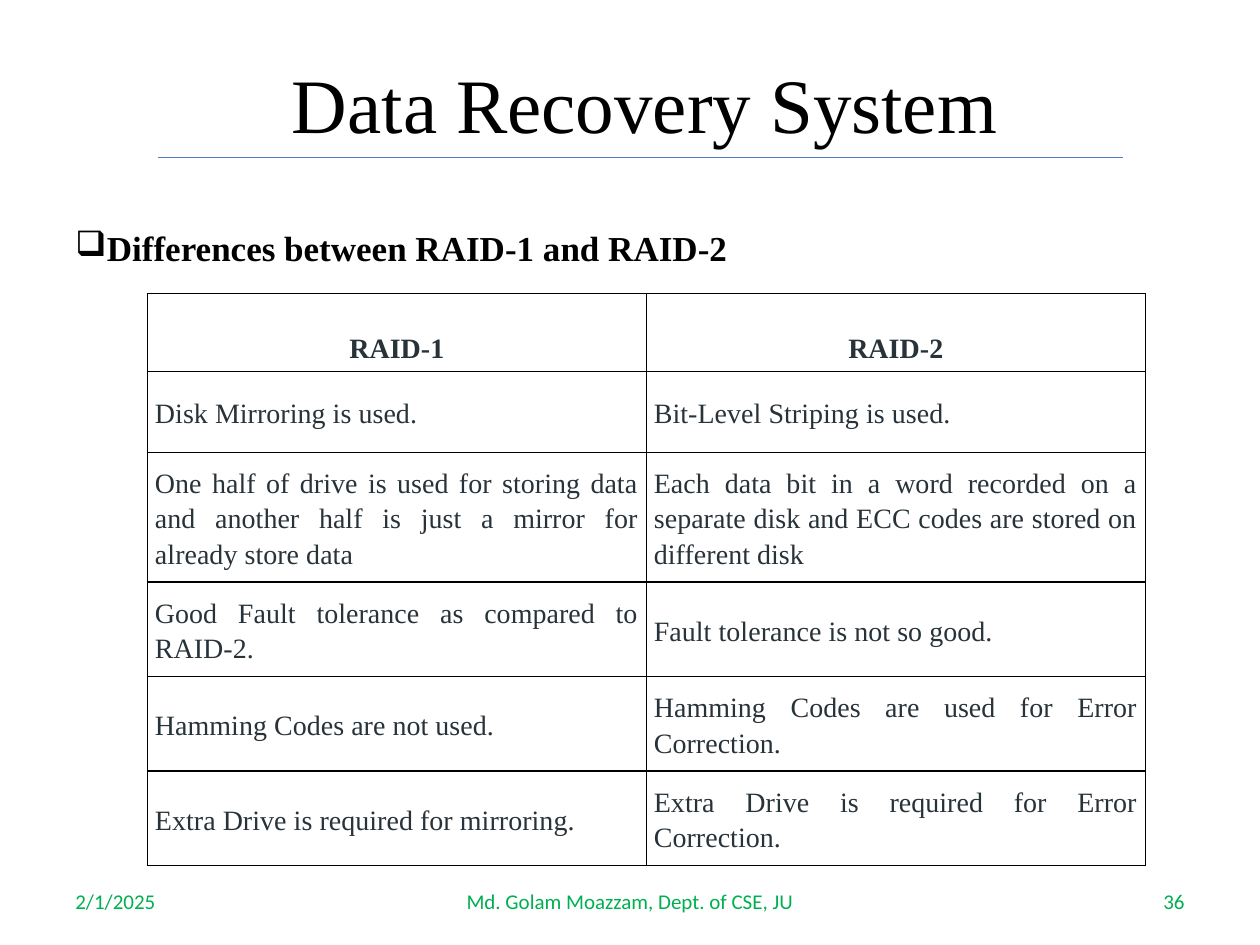
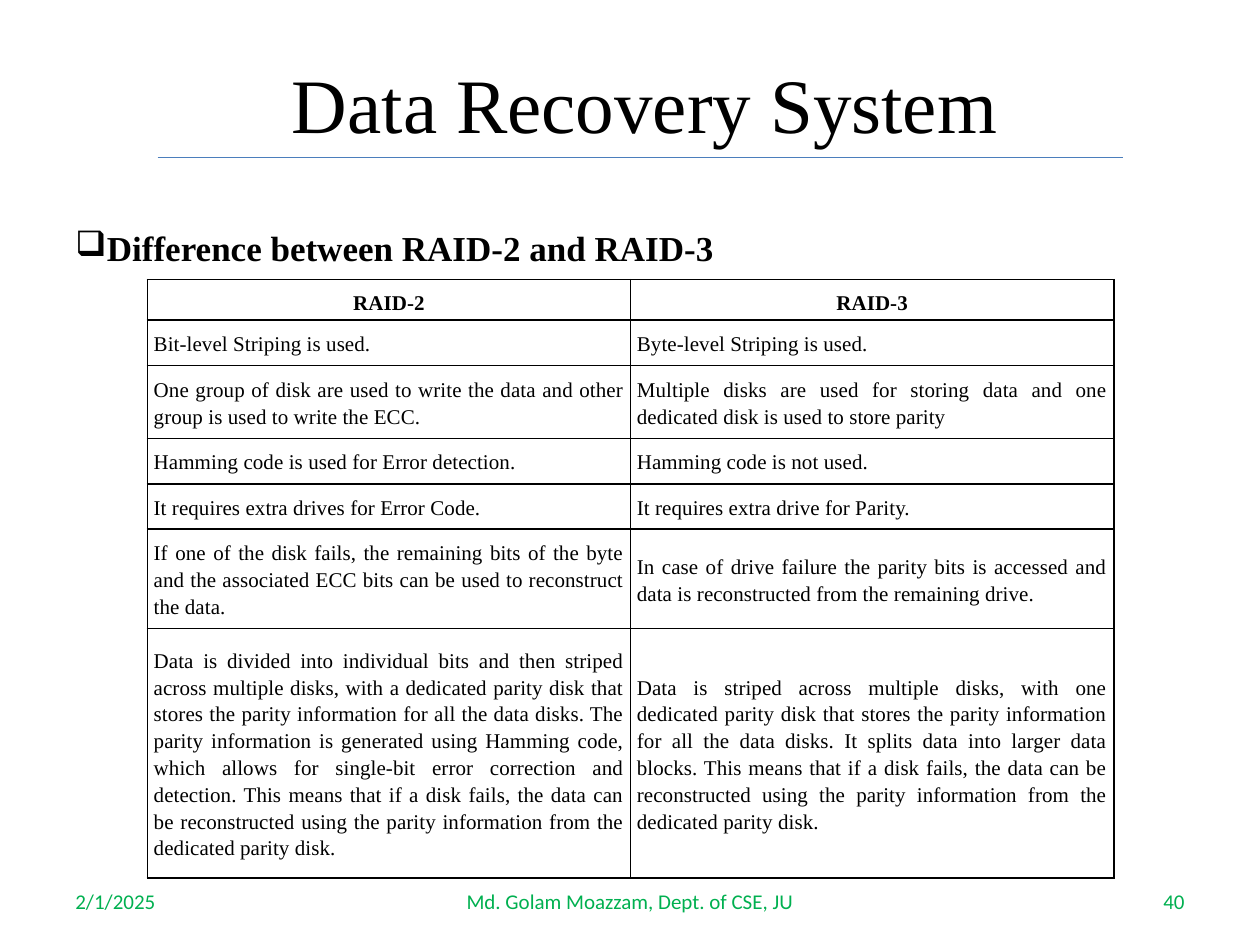
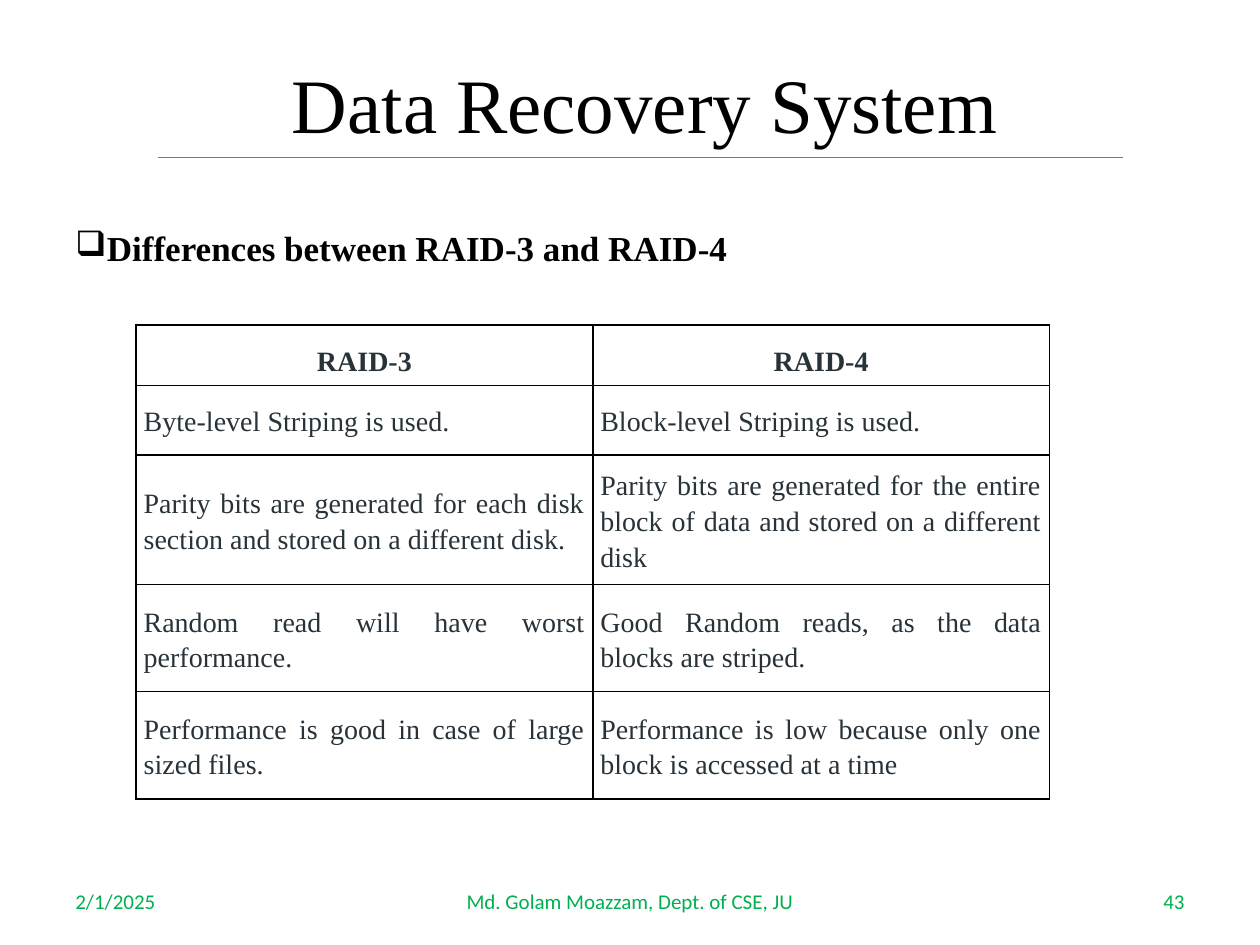
from lxml.etree import SubElement
from pptx import Presentation
from pptx.dml.color import RGBColor
from pptx.enum.shapes import MSO_CONNECTOR
from pptx.enum.text import MSO_ANCHOR, MSO_AUTO_SIZE, PP_ALIGN
from pptx.oxml.ns import qn
from pptx.util import Inches, Pt

COLORS = {
    "ink": "000000",
    "slate": "273239",
    "footer": "00B050",
    "rule": "4B7EBC",
    "paper": "FFFFFF",
}
SERIF = "Times New Roman"
SANS = "Calibri"
TITLE = "Data Recovery System"
DATE = "2/1/2025"
AUTHOR = "Md. Golam Moazzam, Dept. of CSE, JU"
LARGE_TABLE = {"size": 16, "color": "slate", "side": 0.06, "head_pad": 0.06, "body_pad": 0.05}
SMALL_TABLE = {"size": 12, "color": "ink", "side": 0.05, "head_pad": 0.04, "body_pad": 0.04}

COMPARISONS = [
    {
        "page_number": "36",
        "heading": "Differences between RAID-1 and RAID-2",
        "box": (1.17, 2.33, 7.92),
        "row_heights": [0.62, 0.64, 1.03, 0.75, 0.75, 0.75],
        "style": LARGE_TABLE,
        "rows": [
            ("RAID-1", "RAID-2"),
            ("Disk Mirroring is used.", "Bit-Level Striping is used."),
            ("One half of drive is used for storing data and another half is just a mirror "
             "for already store data",
             "Each data bit in a word recorded on a separate disk and ECC codes are stored "
             "on different disk"),
            ("Good Fault tolerance as compared to RAID-2.", "Fault tolerance is not so good."),
            ("Hamming Codes are not used.", "Hamming Codes are used for Error Correction."),
            ("Extra Drive is required for mirroring.",
             "Extra Drive is required for Error Correction."),
        ],
    },
    {
        "page_number": "40",
        "heading": "Difference between RAID-2 and RAID-3",
        "box": (1.17, 2.22, 7.67),
        "row_heights": [0.32, 0.36, 0.58, 0.36, 0.36, 0.79, 1.98],
        "style": SMALL_TABLE,
        "rows": [
            ("RAID-2", "RAID-3"),
            ("Bit-level Striping is used.", "Byte-level Striping is used."),
            ("One group of disk are used to write the data and other group is used to write "
             "the ECC.",
             "Multiple disks are used for storing data and one dedicated disk is used to "
             "store parity"),
            ("Hamming code is used for Error detection.", "Hamming code is not used."),
            ("It requires extra drives for Error Code.", "It requires extra drive for Parity."),
            ("If one of the disk fails, the remaining bits of the byte and the associated ECC "
             "bits can be used to reconstruct the data.",
             "In case of drive failure the parity bits is accessed and data is reconstructed "
             "from the remaining drive."),
            ("Data is divided into individual bits and then striped across multiple disks, "
             "with a dedicated parity disk that stores the parity information for all the "
             "data disks. The parity information is generated using Hamming code, which "
             "allows for single-bit error correction and detection. This means that if a "
             "disk fails, the data can be reconstructed using the parity information from "
             "the dedicated parity disk.",
             "Data is striped across multiple disks, with one dedicated parity disk that "
             "stores the parity information for all the data disks. It splits data into "
             "larger data blocks. This means that if a disk fails, the data can be "
             "reconstructed using the parity information from the dedicated parity disk."),
        ],
    },
    {
        "page_number": "43",
        "heading": "Differences between RAID-3 and RAID-4",
        "box": (1.08, 2.58, 7.25),
        "row_heights": [0.48, 0.55, 1.03, 0.85, 0.85],
        "style": LARGE_TABLE,
        "rows": [
            ("RAID-3", "RAID-4"),
            ("Byte-level Striping is used.", "Block-level Striping is used."),
            ("Parity bits are generated for each disk section and stored on a different disk.",
             "Parity bits are generated for the entire block of data and stored on a "
             "different disk"),
            ("Random read will have worst performance.",
             "Good Random reads, as the data blocks are striped."),
            ("Performance is good in case of large sized files.",
             "Performance is low because only one block is accessed at a time"),
        ],
    },
]


def rgb(name):
    return RGBColor.from_string(COLORS[name])


def write_text(frame, text, size=12, font=SERIF, color="ink", bold=False,
               align=PP_ALIGN.LEFT, line_spacing=None, tracking=None, bullet=None):
    frame.word_wrap = True
    para = frame.paragraphs[0]
    if bullet:
        properties = para._p.get_or_add_pPr()
        properties.set("marL", str(Inches(0.25)))
        properties.set("indent", str(-Inches(0.25)))
        SubElement(properties, qn("a:buFont")).set("typeface", "Wingdings")
        SubElement(properties, qn("a:buChar")).set("char", bullet)
    para.alignment = align
    if line_spacing:
        para.line_spacing = line_spacing
    span = para.add_run()
    span.text = text
    span.font.size = Pt(size)
    span.font.name = font
    span.font.bold = bold
    span.font.color.rgb = rgb(color)
    if tracking:
        span._r.get_or_add_rPr().set("spc", str(round(tracking * 100)))


def add_text_box(page, box, text, anchor=MSO_ANCHOR.TOP, **text_format):
    frame = page.shapes.add_textbox(*map(Inches, box)).text_frame
    frame.vertical_anchor = anchor
    write_text(frame, text, **text_format)


def place_title(page, box):
    left, top, width, height = box
    title = page.shapes.title
    title.left, title.top, title.width, title.height = map(Inches, box)
    title.text_frame.auto_size = MSO_AUTO_SIZE.NONE
    title.text_frame.vertical_anchor = MSO_ANCHOR.MIDDLE
    write_text(title.text_frame, TITLE, size=44, align=PP_ALIGN.CENTER)
    rule_y = Inches(top + height)
    rule = page.shapes.add_connector(
        MSO_CONNECTOR.STRAIGHT, Inches(left - 0.08), rule_y, Inches(left + width), rule_y)
    rule.line.color.rgb = rgb("rule")
    rule.line.width = Pt(0.75)
    SubElement(rule._element.spPr, qn("a:effectLst"))


def add_footer(page, box, page_number):
    left, top, width, height = box
    side_width, middle_width = 2.33, 3.17
    parts = [
        (DATE, left, side_width, PP_ALIGN.LEFT),
        (AUTHOR, left + (width - middle_width) / 2, middle_width, PP_ALIGN.CENTER),
        (page_number, left + width - side_width, side_width, PP_ALIGN.RIGHT),
    ]
    for text, part_left, part_width, align in parts:
        add_text_box(page, (part_left, top, part_width, height), text,
                     anchor=MSO_ANCHOR.MIDDLE, font=SANS, color="footer", align=align)


def format_cell(cell, side, pad):
    cell.margin_left = cell.margin_right = Inches(side)
    cell.margin_top = cell.margin_bottom = Inches(pad)
    properties = cell._tc.get_or_add_tcPr()
    for edge in ("lnL", "lnR", "lnT", "lnB"):
        border = SubElement(properties, qn(f"a:{edge}"), w=str(Pt(1)))
        fill = SubElement(border, qn("a:solidFill"))
        SubElement(fill, qn("a:srgbClr"), val=COLORS["ink"])
    cell.fill.solid()
    cell.fill.fore_color.rgb = rgb("paper")


def add_comparison_table(page, box, row_heights, rows, style):
    left, top, width = box
    frame = page.shapes.add_table(
        len(rows), 2, Inches(left), Inches(top), Inches(width), Inches(sum(row_heights)))
    table = frame.table
    table.first_row = table.horz_banding = False
    for row, height in zip(table.rows, row_heights):
        row.height = Inches(height)
    for row_index, texts in enumerate(rows):
        is_head = row_index == 0
        for column_index, text in enumerate(texts):
            cell = table.cell(row_index, column_index)
            format_cell(cell, style["side"], style["head_pad" if is_head else "body_pad"])
            cell.vertical_anchor = MSO_ANCHOR.BOTTOM if is_head else MSO_ANCHOR.MIDDLE
            write_text(cell.text_frame, text, size=style["size"], color=style["color"],
                       bold=is_head, line_spacing=1.15, tracking=0.05,
                       align=PP_ALIGN.CENTER if is_head else PP_ALIGN.JUSTIFY)


def add_comparison_page(deck, comparison):
    page = deck.slides.add_slide(deck.slide_layouts[5])
    place_title(page, (1.33, 0.38, 7.58, 0.87))
    add_text_box(page, (0.5, 1.75, 9, 0.45), comparison["heading"], size=20, bold=True,
                 align=PP_ALIGN.JUSTIFY, bullet="q")
    add_footer(page, (0.5, 6.95, 9, 0.4), comparison["page_number"])
    add_comparison_table(page, comparison["box"], comparison["row_heights"],
                         comparison["rows"], comparison["style"])


def main():
    deck = Presentation()
    deck.slide_width, deck.slide_height = Inches(10), Inches(7.5)
    for comparison in COMPARISONS:
        add_comparison_page(deck, comparison)
    deck.save("out.pptx")


if __name__ == "__main__":
    main()
